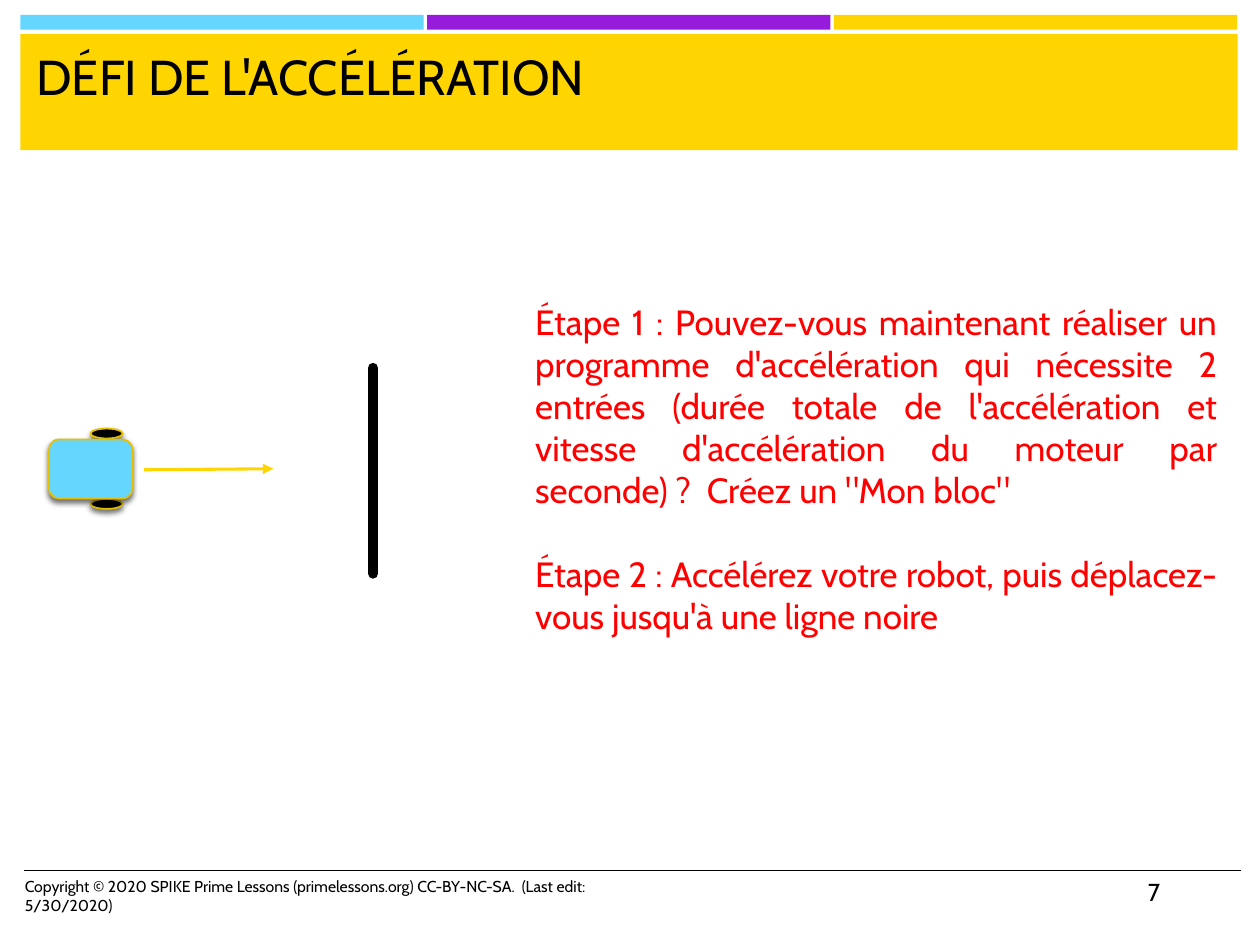
from lxml import etree
from pptx import Presentation
from pptx.dml.color import RGBColor
from pptx.enum.shapes import MSO_CONNECTOR, MSO_SHAPE
from pptx.enum.text import MSO_ANCHOR, PP_ALIGN
from pptx.oxml.ns import qn
from pptx.util import Cm, Pt

RECTANGLE, OVAL = MSO_SHAPE.RECTANGLE, MSO_SHAPE.OVAL
ROUNDED = MSO_SHAPE.ROUNDED_RECTANGLE
STRAIGHT = MSO_CONNECTOR.STRAIGHT
LEFT, JUSTIFY = PP_ALIGN.LEFT, PP_ALIGN.JUSTIFY
TOP = MSO_ANCHOR.TOP

BLACK = RGBColor(0x00, 0x00, 0x00)
RED = RGBColor(0xFF, 0x00, 0x00)
SKY = RGBColor(0x65, 0xD7, 0xFF)
PURPLE = RGBColor(0x96, 0x1B, 0xDB)
YELLOW = RGBColor(0xFF, 0xD5, 0x00)
GOLD = RGBColor(0xE6, 0xC0, 0x00)
FONT = "Cabin"


def write_text(frame, *paragraphs, size, color=BLACK, align=LEFT, gap=0):
    """Fill a text frame; gap is the space in points between paragraphs."""
    frame.word_wrap = True
    frame.vertical_anchor = TOP
    for index, text in enumerate(paragraphs):
        paragraph = frame.add_paragraph() if index else frame.paragraphs[0]
        paragraph.text = text
        paragraph.alignment = align
        paragraph.space_before = Pt(gap if index else 0)
        paragraph.font.name = FONT
        paragraph.font.size = Pt(size)
        paragraph.font.color.rgb = color


class LessonSlide:
    def __init__(self, slide):
        self.slide = slide

    def title(self, text, left, top, width, height):
        heading = self.slide.shapes.title
        heading.left, heading.top = Cm(left), Cm(top)
        heading.width, heading.height = Cm(width), Cm(height)
        write_text(heading.text_frame, text, size=28)

    def text(self, *paragraphs, at, **style):
        box = self.slide.shapes.add_textbox(*map(Cm, at))
        write_text(box.text_frame, *paragraphs, **style)

    def shape(self, kind, at, fill, outline=None, shadow=False):
        shape = self.slide.shapes.add_shape(kind, *map(Cm, at))
        shape.shadow.inherit = False
        shape.fill.solid()
        shape.fill.fore_color.rgb = fill
        if outline is None:
            shape.line.fill.background()
        else:
            shape.line.color.rgb = outline
            shape.line.width = Pt(1)
        if shadow:
            effects = shape._element.spPr.find(qn("a:effectLst"))
            outer = etree.SubElement(effects, qn("a:outerShdw"), blurRad=str(Pt(3)),
                                     dist=str(Pt(2)), dir="5400000", rotWithShape="0")
            tint = etree.SubElement(outer, qn("a:srgbClr"), val=str(BLACK))
            etree.SubElement(tint, qn("a:alpha"), val="55000")

    def line(self, start, end, color, width, arrow=False, round_cap=False):
        line = self.slide.shapes.add_connector(STRAIGHT, *map(Cm, start + end))
        line.line.color.rgb = color
        line.line.width = Pt(width)
        properties = line._element.spPr
        stroke = properties.find(qn("a:ln"))
        if round_cap:
            stroke.set("cap", "rnd")
        if arrow:
            etree.SubElement(stroke, qn("a:tailEnd"), type="triangle")
        etree.SubElement(properties, qn("a:effectLst"))


def main():
    deck = Presentation()
    deck.slide_width, deck.slide_height = Cm(25.4), Cm(19.05)
    lesson = LessonSlide(deck.slides.add_slide(deck.slide_layouts[5]))

    # Header: three colour bars over the title band
    for column, color in enumerate((SKY, PURPLE, YELLOW)):
        lesson.shape(RECTANGLE, (0.41 + 8.2 * column, 0.3, 8.13, 0.3), color)
    lesson.shape(RECTANGLE, (0.41, 0.69, 24.54, 2.34), YELLOW)
    lesson.title("DÉFI DE L'ACCÉLÉRATION", 0.48, 0.81, 24.31, 2.08)
    # The placeholder is created first, so bring it in front of the band
    heading = lesson.slide.shapes.title._element
    heading.getparent().append(heading)

    # Challenge steps
    lesson.text(
        "Étape 1 : Pouvez-vous maintenant réaliser un programme d'accélération "
        "qui nécessite 2 entrées (durée totale de l'accélération et vitesse "
        "d'accélération du moteur par seconde) ?  Créez un \"Mon bloc\"",
        "Étape 2 : Accélérez votre robot, puis déplacez-vous jusqu'à une ligne noire",
        at=(10.54, 5.94, 14.25, 7.09), size=20, color=RED, align=JUSTIFY, gap=24)

    # Robot driving towards the black line
    lesson.line((7.52, 11.56), (7.52, 7.42), BLACK, 6, round_cap=True)
    for wheel_top in (10.06, 8.64):
        lesson.shape(OVAL, (1.83, wheel_top, 0.64, 0.2), BLACK, GOLD, shadow=True)
    lesson.shape(ROUNDED, (0.99, 8.86, 1.68, 1.19), SKY, GOLD, shadow=True)
    lesson.line((2.9, 9.47), (5.51, 9.45), YELLOW, 1.75, arrow=True)

    # Footer
    footer_top = 17.55
    lesson.line((0.48, footer_top), (25.02, footer_top), BLACK, 1)
    lesson.text("Copyright © 2020 SPIKE Prime Lessons (primelessons.org) CC-BY-NC-SA.  "
                "(Last edit: 5/30/2020)", at=(0.25, footer_top, 13.54, 1.02), size=9)
    lesson.text("7", at=(22.89, footer_top, 2.13, 1.02), size=14)

    deck.save("out.pptx")


if __name__ == "__main__":
    main()
